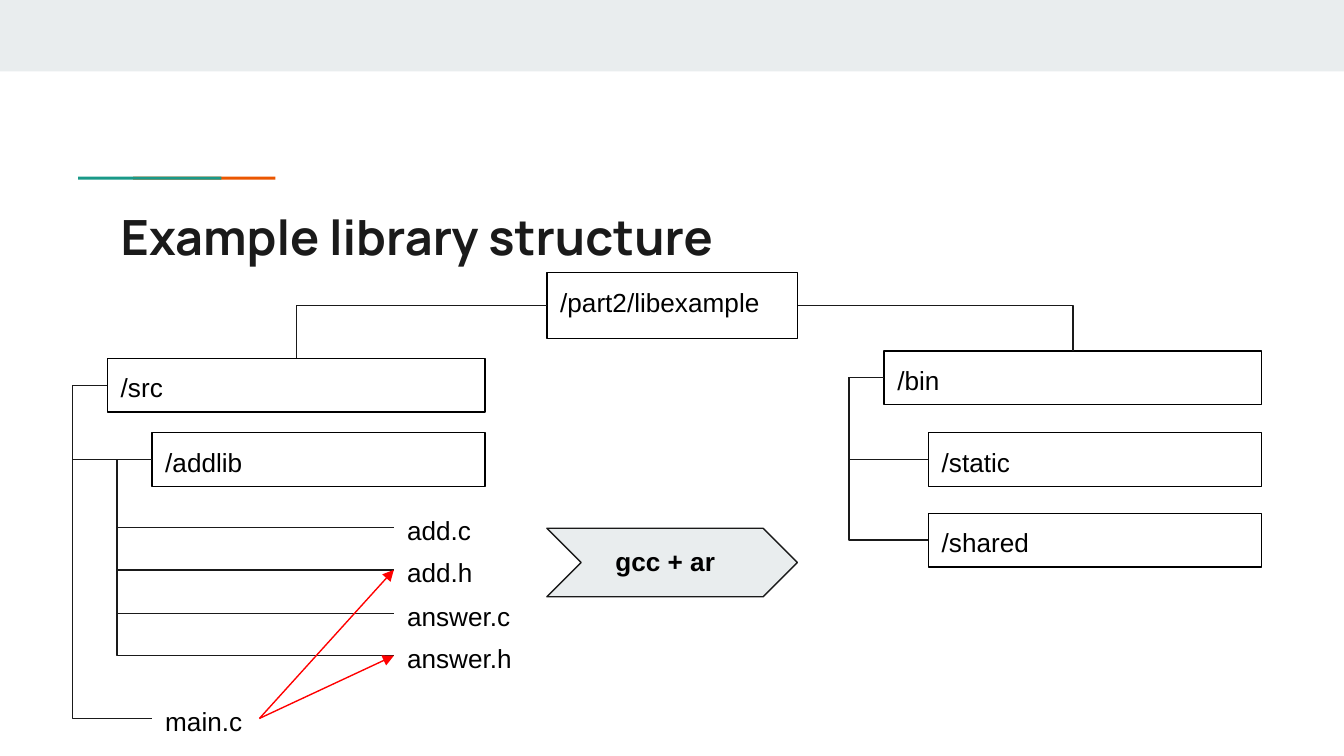
import lxml.etree
import pptx
import pptx.dml.color
import pptx.enum.shapes
import pptx.oxml.ns
import pptx.util

Pt = pptx.util.Pt
qn = pptx.oxml.ns.qn
SHAPES = pptx.enum.shapes.MSO_SHAPE
CONNECTORS = pptx.enum.shapes.MSO_CONNECTOR
TOP, LEFT, RIGHT = 0, 1, 3
INK, PALE, RED = "1A1A1A", "E9EDEE", "FF0000"


def color(hex_string):
    return pptx.dml.color.RGBColor.from_string(hex_string)


def write(box, text, text_color="000000", **changes):
    """Put one top-left aligned line of text in a box."""
    frame = box.text_frame
    frame_format = {
        "word_wrap": True,
        "vertical_anchor": pptx.enum.text.MSO_ANCHOR.TOP,
        "margin_left": Pt(7.2),
        "margin_right": Pt(7.2),
        "margin_top": Pt(7.2),
        "margin_bottom": Pt(7.2),
    }
    for name, value in frame_format.items():
        setattr(frame, name, value)
    para = frame.paragraphs[0]
    para.alignment = pptx.enum.text.PP_ALIGN.LEFT
    span = para.add_run()
    span.text = text
    font_format = {"name": "Arial", "size": Pt(14), "bold": False, **changes}
    for name, value in font_format.items():
        setattr(span.font, name, value)
    span.font.color.rgb = color(text_color)


deck = pptx.Presentation()
deck.slide_width, deck.slide_height = Pt(720), Pt(405)
page = deck.slides.add_slide(deck.slide_layouts[6])
shapes = page.shapes

# Header band and two-colour accent line
for left, top, width, height, fill in [
    (0, 0, 720, 38.3, PALE),
    (71.3, 94.7, 76.3, 1.6, "EB5600"),
    (41.8, 94.7, 76.8, 1.6, "1A9988"),
]:
    bar = shapes.add_shape(SHAPES.RECTANGLE, Pt(left), Pt(top), Pt(width), Pt(height))
    bar.shadow.inherit = False
    bar.fill.solid()
    bar.fill.fore_color.rgb = color(fill)
    bar.line.fill.background()

title = shapes.add_textbox(Pt(57.6), Pt(103.7), Pt(605.5), Pt(42.5))
write(title, "Example library structure", INK, name="Manrope", size=Pt(26), bold=True)

# Folders are outlined boxes, files are plain text
nodes = {}
for name, left, top, width, height in [
    ("/part2/libexample", 293, 146, 134.4, 35.3),
    ("/src", 57.6, 192, 202.3, 28.8),
    ("/addlib", 81.4, 231.8, 178.5, 28.8),
    ("/bin", 473.6, 188, 202.3, 28.8),
    ("/static", 497.4, 231.8, 178.5, 28.8),
    ("/shared", 497.4, 275, 178.5, 28.8),
]:
    folder = shapes.add_shape(SHAPES.RECTANGLE, Pt(left), Pt(top), Pt(width), Pt(height))
    folder.shadow.inherit = False
    folder.fill.background()
    folder.line.color.rgb = color("000000")
    folder.line.width = Pt(0.75)
    write(folder, name)
    nodes[name] = folder

for name, left, top, width in [
    ("main.c", 81.4, 370.5, 57.6),
    ("add.c", 211, 268.3, 67),
    ("add.h", 211, 290.9, 67),
    ("answer.c", 211, 314.3, 98.6),
    ("answer.h", 211, 336.9, 103.7),
]:
    nodes[name] = shapes.add_textbox(Pt(left), Pt(top), Pt(width), Pt(28.8))
    write(nodes[name], name)

# Tree branches, then red include arrows
links = [
    ("/part2/libexample", LEFT, "/src", TOP),
    ("/part2/libexample", RIGHT, "/bin", TOP),
]
for parent, children in {
    "/src": ["/addlib", "main.c"],
    "/addlib": ["add.c", "add.h", "answer.c", "answer.h"],
    "/bin": ["/static", "/shared"],
}.items():
    links += [(parent, LEFT, child, LEFT) for child in children]
links += [("main.c", RIGHT, header, LEFT) for header in ("answer.h", "add.h")]

for start, start_side, end, end_side in links:
    is_include = start == "main.c"
    kind = CONNECTORS.STRAIGHT if is_include else CONNECTORS.ELBOW
    link = shapes.add_connector(kind, 0, 0, 0, 0)
    link.begin_connect(nodes[start], start_side)
    link.end_connect(nodes[end], end_side)
    link.line.color.rgb = color(RED if is_include else INK)
    link.line.width = Pt(0.75)
    properties = link._element.spPr
    lxml.etree.SubElement(properties, qn("a:effectLst"))
    geometry = properties.find(qn("a:prstGeom"))
    if is_include:
        outline = properties.find(qn("a:ln"))
        lxml.etree.SubElement(outline, qn("a:tailEnd"), type="triangle")
    elif end_side == TOP:
        geometry.set("prst", "bentConnector2")
    else:
        # The trunk runs a fixed distance left of the parent
        bend = round(-Pt(18.75) / link.width * 100000)
        guides = geometry.find(qn("a:avLst"))
        lxml.etree.SubElement(guides, qn("a:gd"), name="adj1", fmla=f"val {bend}")

# Build step between sources and binaries
step = shapes.add_shape(SHAPES.CHEVRON, Pt(293), Pt(283), Pt(134.2), Pt(36.7))
step.shadow.inherit = False
step.adjustments[0] = 0.5
step.fill.solid()
step.fill.fore_color.rgb = color(PALE)
step.line.color.rgb = color(INK)
step.line.width = Pt(0.75)
label = shapes.add_textbox(Pt(322.6), Pt(285.1), Pt(98.6), Pt(39.6))
write(label, "gcc + ar", bold=True)

deck.save("out.pptx")
